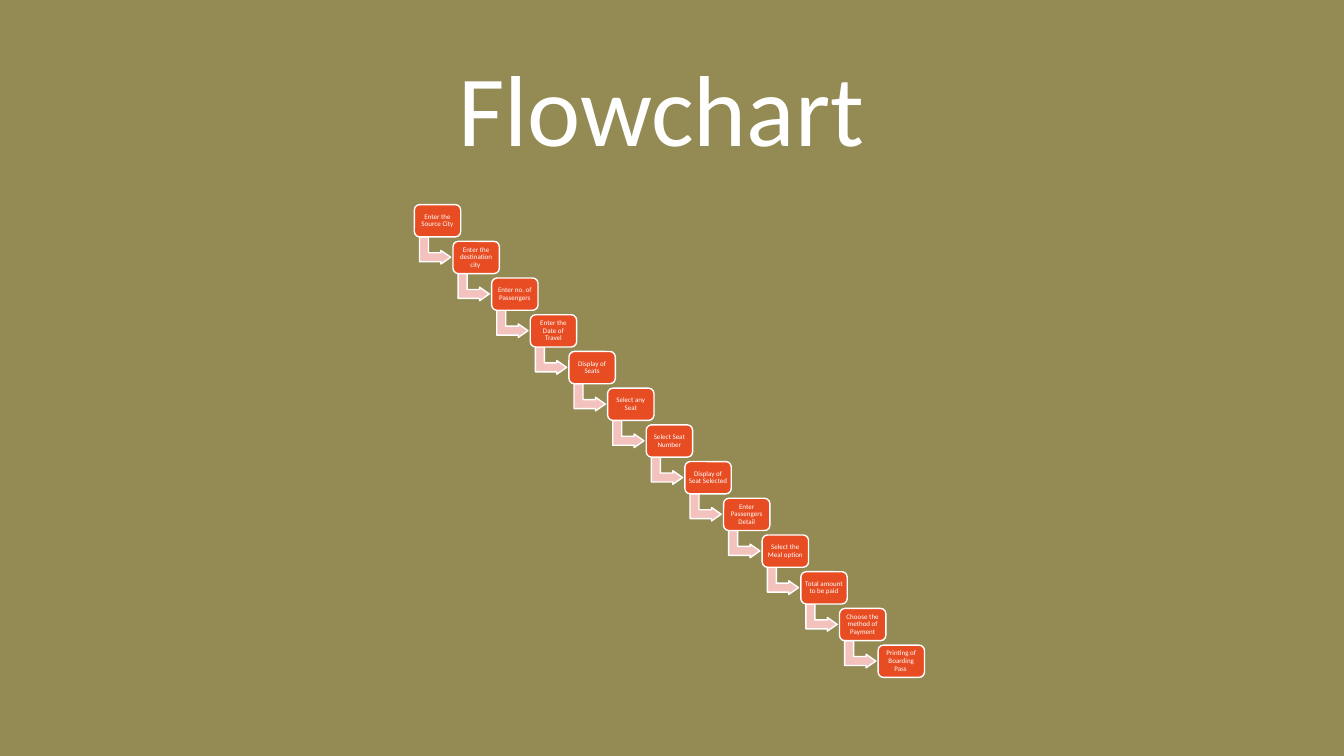
from pptx import Presentation
from pptx.dml.color import RGBColor
from pptx.enum.shapes import MSO_SHAPE
from pptx.enum.text import MSO_ANCHOR, PP_ALIGN
from pptx.util import Inches, Pt

ROUNDED = MSO_SHAPE.ROUNDED_RECTANGLE
BENT_ARROW = MSO_SHAPE.BENT_UP_ARROW
MIDDLE = MSO_ANCHOR.MIDDLE
CENTER = PP_ALIGN.CENTER

OLIVE = RGBColor(0x94, 0x8A, 0x54)
ORANGE = RGBColor(0xE8, 0x4C, 0x22)
PINK = RGBColor(0xF4, 0xC2, 0xBD)
WHITE = RGBColor(0xFF, 0xFF, 0xFF)
FONT = "Calibri"

STEP_WIDTH, STEP_HEIGHT = 0.46, 0.32
ARROW_WIDTH, ARROW_HEIGHT = 0.27, 0.31
ARROW_DX, ARROW_DY = 0.07, 0.3
ARROW_ADJUSTMENTS = (0.33, 0.25, 0.36)

STEPS = [
    "Enter the Source City",
    "Enter the destination city ",
    "Enter no. of Passengers",
    "Enter the Date of Travel",
    "Display of Seats",
    "Select any Seat",
    "Select Seat Number",
    "Display of Seat Selected ",
    "Enter Passengers Detail",
    "Select the Meal option",
    "Total amount to be paid",
    "Choose the method of Payment",
    "Printing of Boarding Pass ",
]


def write(frame, text, size):
    """Put one centred white paragraph in a text frame."""
    frame.word_wrap = True
    frame.vertical_anchor = MIDDLE
    paragraph = frame.paragraphs[0]
    paragraph.text = text
    paragraph.alignment = CENTER
    paragraph.line_spacing = 0.9
    paragraph.font.name = FONT
    paragraph.font.size = Pt(size)
    paragraph.font.color.rgb = WHITE


def add_outlined(slide, preset, left, top, width, height, color):
    """Add a flat preset shape with a thin white outline."""
    shape = slide.shapes.add_shape(
        preset, Inches(left), Inches(top), Inches(width), Inches(height))
    shape.shadow.inherit = False
    shape.fill.solid()
    shape.fill.fore_color.rgb = color
    shape.line.color.rgb = WHITE
    shape.line.width = Pt(1)
    return shape


def add_title(slide, left, top, width, height):
    """Add the slide heading in the given box."""
    heading = slide.shapes.add_textbox(
        Inches(left), Inches(top), Inches(width), Inches(height))
    write(heading.text_frame, "Flowchart ", 72)


def add_arrow(slide, left, top):
    """Add the bent arrow that leads from the step at this corner to the next."""
    arrow = add_outlined(slide, BENT_ARROW, left + ARROW_DX, top + ARROW_DY,
                         ARROW_WIDTH, ARROW_HEIGHT, PINK)
    arrow.rotation = 90
    for index, value in enumerate(ARROW_ADJUSTMENTS):
        arrow.adjustments[index] = value


def add_step(slide, left, top, text):
    """Add one labelled step of the flow."""
    step = add_outlined(slide, ROUNDED, left, top, STEP_WIDTH, STEP_HEIGHT, ORANGE)
    frame = step.text_frame
    frame.margin_left = frame.margin_right = Inches(0.02)
    frame.margin_top = frame.margin_bottom = Inches(0.02)
    write(frame, text, 5)


def add_staircase(slide, left, top, width, height):
    """Spread the steps evenly down the diagonal of the given box."""
    last = len(STEPS) - 1
    pitch_x = (width - STEP_WIDTH) / last
    pitch_y = (height - STEP_HEIGHT) / last
    for index, text in enumerate(STEPS):
        x, y = left + index * pitch_x, top + index * pitch_y
        if index < last:
            add_arrow(slide, x, y)
        add_step(slide, x, y, text)


def build():
    """Build and save the slide."""
    deck = Presentation()
    deck.slide_width, deck.slide_height = Inches(13.33), Inches(7.5)
    slide = deck.slides.add_slide(deck.slide_layouts[6])
    slide.background.fill.solid()
    slide.background.fill.fore_color.rgb = OLIVE
    add_title(slide, 0.92, 0.4, 11.5, 1.45)
    add_staircase(slide, 4.11, 2.03, 5.06, 4.69)
    deck.save("out.pptx")


build()
